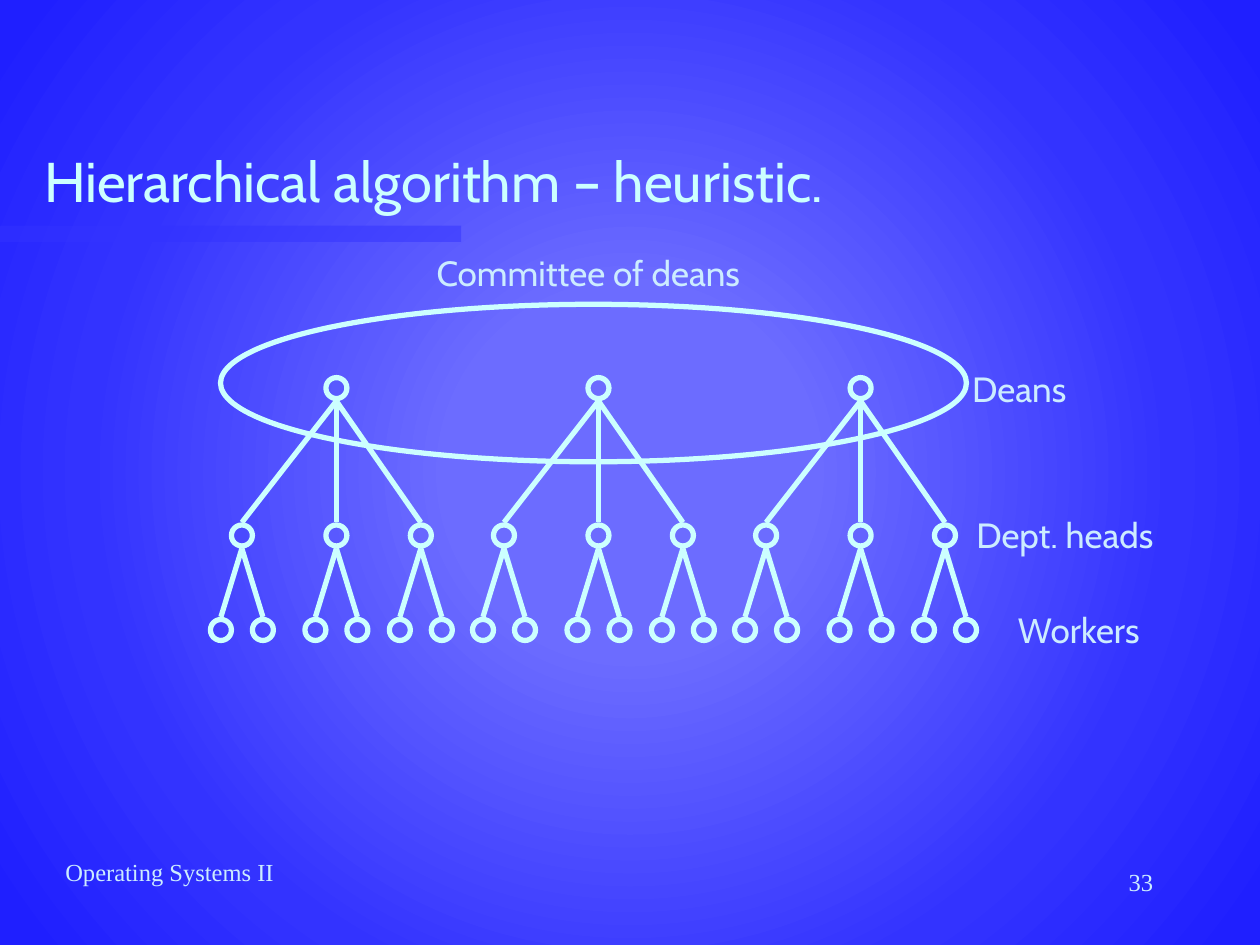
"""Build a slide showing a hierarchical scheduling tree of deans, heads and workers."""
from pptx import Presentation
from pptx.dml.color import RGBColor
from pptx.enum.shapes import MSO_CONNECTOR, MSO_SHAPE
from pptx.enum.text import MSO_ANCHOR, MSO_AUTO_SIZE, PP_ALIGN
from pptx.oxml import parse_xml
from pptx.oxml.ns import nsdecls, qn
from pptx.util import Inches, Pt

OVAL, RECTANGLE = MSO_SHAPE.OVAL, MSO_SHAPE.RECTANGLE
STRAIGHT = MSO_CONNECTOR.STRAIGHT
TOP, MIDDLE, BOTTOM = MSO_ANCHOR.TOP, MSO_ANCHOR.MIDDLE, MSO_ANCHOR.BOTTOM
LEFT, CENTER, RIGHT = PP_ALIGN.LEFT, PP_ALIGN.CENTER, PP_ALIGN.RIGHT
GROW, FIXED = MSO_AUTO_SIZE.SHAPE_TO_FIT_TEXT, MSO_AUTO_SIZE.NONE

CYAN = RGBColor(0xCC, 0xFF, 0xFF)
PALE = RGBColor(0xCC, 0xEC, 0xFF)
BLUE = RGBColor(0x33, 0x33, 0xFF)
CENTRE_BLUE = RGBColor(0x6C, 0x6C, 0xFF)
EDGE_BLUE = RGBColor(0x1F, 0x1F, 0xFF)
GLOW = [(0, CENTRE_BLUE), (23, CENTRE_BLUE), (69, BLUE), (97, EDGE_BLUE)]

NODE = 1 / 6
GAP = 0.02
DEAN_Y, HEAD_Y, WORKER_Y = 3.08, 4.25, 5
DEAN_XS = [2.67 + 2.08 * index for index in range(3)]
HEAD_OFFSETS = [-0.75, 0, 0.67]
WORKER_OFFSETS = [-NODE, NODE]

LABEL = {"size": Pt(20), "name": "Cabin"}
FOOTER = {"size": Pt(14), "name": "Times New Roman"}
LABELS = [
    ("Committee of deans", (3.34, 1.95, 2.66, 0.43), CENTER),
    ("Deans", (7.61, 2.87, 0.96, 0.43), CENTER),
    ("Dept. heads", (7.65, 4.03, 1.67, 0.43), LEFT),
    ("Workers", (7.98, 4.78, 1.21, 0.43), LEFT),
]


def set_background(page):
    """Fill the page with a glow that darkens outwards."""
    page.background.fill.solid()
    stops = "".join(
        f'<a:gs pos="{place * 1000}"><a:srgbClr val="{color}"/></a:gs>'
        for place, color in GLOW)
    gradient = parse_xml(
        f'<a:gradFill {nsdecls("a")} rotWithShape="0"><a:gsLst>{stops}</a:gsLst>'
        '<a:path path="circle">'
        '<a:fillToRect l="50000" t="50000" r="50000" b="50000"/>'
        '</a:path></a:gradFill>')
    properties = page.element.find(".//" + qn("p:bgPr"))
    properties.replace(properties[0], gradient)


def write_text(box, text, font, color, align, **frame_format):
    """Put one formatted line of text in a box."""
    frame = box.text_frame
    for name, value in frame_format.items():
        setattr(frame, name, value)
    para = frame.paragraphs[0]
    para.alignment = align
    span = para.add_run()
    span.text = text
    for name, value in font.items():
        setattr(span.font, name, value)
    span.font.color.rgb = color


def add_text(page, text, place, font, align, **frame_format):
    """Add a text box in the pale text colour."""
    box = page.shapes.add_textbox(*map(Inches, place))
    write_text(box, text, font, PALE, align, **frame_format)


def add_bar(page):
    """Add the translucent bar below the title."""
    bar = page.shapes.add_shape(RECTANGLE, *map(Inches, (0, 1.79, 3.66, 0.13)))
    bar.shadow.inherit = False
    bar.line.fill.background()
    bar.fill.solid()
    bar.fill.fore_color.rgb = BLUE
    color = bar.fill._xPr.find(".//" + qn("a:srgbClr"))
    color.append(parse_xml(f'<a:alpha {nsdecls("a")} val="50000"/>'))


def add_ring(page, x, y, width=NODE, height=NODE):
    """Add an unfilled ellipse centred on a point."""
    place = (x - width / 2, y - height / 2, width, height)
    ring = page.shapes.add_shape(OVAL, *map(Inches, place))
    ring.shadow.inherit = False
    ring.fill.background()
    ring.line.color.rgb = CYAN
    ring.line.width = Pt(3)


def add_branch(page, x, y, child_x, child_y):
    """Add a line from below a parent node to above its child."""
    start_y, end_y = y + NODE / 2 + GAP, child_y - NODE / 2 - GAP
    branch = page.shapes.add_connector(
        STRAIGHT, *map(Inches, (x, start_y, child_x, end_y)))
    branch.line.color.rgb = CYAN
    branch.line.width = Pt(3)
    branch._element.spPr.append(parse_xml(f'<a:effectLst {nsdecls("a")}/>'))


def add_tree(page, dean_x):
    """Add one dean with the heads and workers below."""
    add_ring(page, dean_x, DEAN_Y)
    for head_offset in HEAD_OFFSETS:
        head_x = dean_x + head_offset
        add_ring(page, head_x, HEAD_Y)
        add_branch(page, dean_x, DEAN_Y, head_x, HEAD_Y)
        for worker_offset in WORKER_OFFSETS:
            worker_x = head_x + worker_offset
            add_ring(page, worker_x, WORKER_Y)
            add_branch(page, head_x, HEAD_Y, worker_x, WORKER_Y)


def add_title(page, text):
    """Place and write the title placeholder."""
    title = page.shapes.title
    place = {"left": 0.25, "top": 0.5, "width": 8.5, "height": 1.25}
    for name, value in place.items():
        setattr(title, name, Inches(value))
    write_text(title, text, {"size": Pt(32), "name": "Cabin"}, CYAN, LEFT,
               vertical_anchor=BOTTOM, word_wrap=True, auto_size=FIXED)


def main():
    """Build and save the deck."""
    deck = Presentation()
    deck.slide_width, deck.slide_height = Inches(10), Inches(7.5)
    page = deck.slides.add_slide(deck.slide_layouts.get_by_name("Title Only"))
    set_background(page)
    add_bar(page)
    add_text(page, "Operating Systems II", (0.42, 6.75, 3.17, 0.5), FOOTER, LEFT,
             vertical_anchor=TOP, word_wrap=True)
    add_text(page, "33", (7.17, 6.83, 2.08, 0.5), FOOTER, RIGHT,
             vertical_anchor=TOP, word_wrap=True)
    add_title(page, "Hierarchical algorithm – heuristic.")
    add_ring(page, 4.71, 3.04, 5.92, 1.25)
    for dean_x in DEAN_XS:
        add_tree(page, dean_x)
    for text, place, align in LABELS:
        add_text(page, text, place, LABEL, align,
                 vertical_anchor=MIDDLE, word_wrap=False, auto_size=GROW)
    deck.save("out.pptx")


if __name__ == "__main__":
    main()
